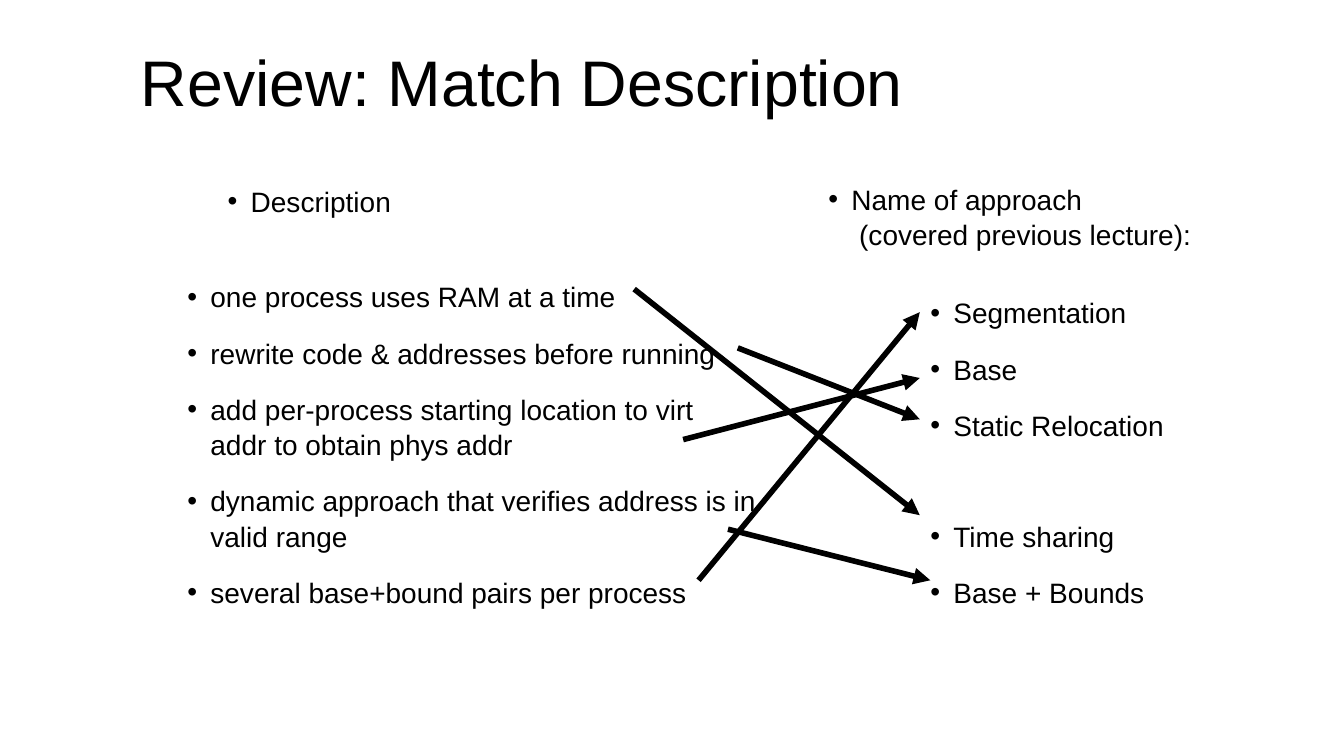
import pptx
import pptx.util
import pptx.dml.color
import pptx.enum.shapes
import pptx.enum.text
import pptx.oxml.ns
import lxml.etree

Pt = pptx.util.Pt
FONT = "Arial"
BLACK = "000000"
INDENT = 16.5
GAP = 15

DESCRIPTIONS = [
    "one process uses RAM at a time",
    "rewrite code & addresses before running",
    "add per-process starting location to virt\naddr to obtain phys addr",
    "dynamic approach that verifies address is in valid range",
    "several base+bound pairs per process",
]
APPROACHES = ["Segmentation", "Base", "Static Relocation", "Time sharing", "Base + Bounds"]
MATCHES = [
    ((453, 206.5), (657, 368)),
    ((527, 248.5), (657, 299.5)),
    ((488, 314), (657, 270)),
    ((520, 378), (664.5, 414.5)),
    ((499, 414.5), (657, 223)),
]


def color(value):
    return pptx.dml.color.RGBColor.from_string(value)


def add_child(parent, tag, **attributes):
    return lxml.etree.SubElement(parent, pptx.oxml.ns.qn(tag), attributes)


def add_box(page, left, top, width, height):
    box = page.shapes.add_textbox(Pt(left), Pt(top), Pt(width), Pt(height))
    box.text_frame.word_wrap = True
    return box.text_frame


def add_text(para, text, size):
    for number, line in enumerate(text.split("\n")):
        if number:
            para.add_line_break()
        span = para.add_run()
        span.text = line
        span.font.name = FONT
        span.font.size = Pt(size)
        span.font.color.rgb = color(BLACK)


def add_title(page, text):
    frame = add_box(page, 93.6, 10.8, 685.4, 100.8)
    frame.vertical_anchor = pptx.enum.text.MSO_ANCHOR.MIDDLE
    para = frame.paragraphs[0]
    para.line_spacing = 0.9
    add_text(para, text, 46)


def add_bullets(page, left, top, width, height, items, wide_gaps=()):
    frame = add_box(page, left, top, width, height)
    for number, item in enumerate(items):
        para = frame.add_paragraph() if number else frame.paragraphs[0]
        para.line_spacing = 1.05
        if number:
            para.space_before = Pt(54 if item in wide_gaps else GAP)
        properties = para._p.get_or_add_pPr()
        properties.set("marL", str(Pt(INDENT)))
        properties.set("indent", str(-Pt(INDENT)))
        add_child(properties, "a:buFont", typeface=FONT)
        add_child(properties, "a:buChar", char="•")
        add_text(para, item, 20)


def add_arrow(page, start, end):
    arrow = page.shapes.add_connector(
        pptx.enum.shapes.MSO_CONNECTOR.STRAIGHT, *map(Pt, start + end))
    arrow.line.color.rgb = color(BLACK)
    arrow.line.width = Pt(4)
    add_child(arrow.line._get_or_add_ln(), "a:tailEnd", type="triangle")
    add_child(arrow._element.spPr, "a:effectLst")


def main():
    deck = pptx.Presentation()
    deck.slide_width, deck.slide_height = Pt(960), Pt(540)
    page = deck.slides.add_slide(deck.slide_layouts[6])
    add_title(page, "Review: Match Description")
    add_bullets(page, 155.5, 126.7, 280.8, 66.2, ["Description"])
    add_bullets(page, 126.7, 195.1, 442, 322.6, DESCRIPTIONS)
    add_bullets(page, 584.6, 125.3, 360, 66.2,
                ["Name of approach\n (covered previous lecture):"])
    add_bullets(page, 657.4, 206.6, 300, 322.6, APPROACHES, wide_gaps=["Time sharing"])
    for start, end in MATCHES:
        add_arrow(page, start, end)
    deck.save("out.pptx")


if __name__ == "__main__":
    main()
